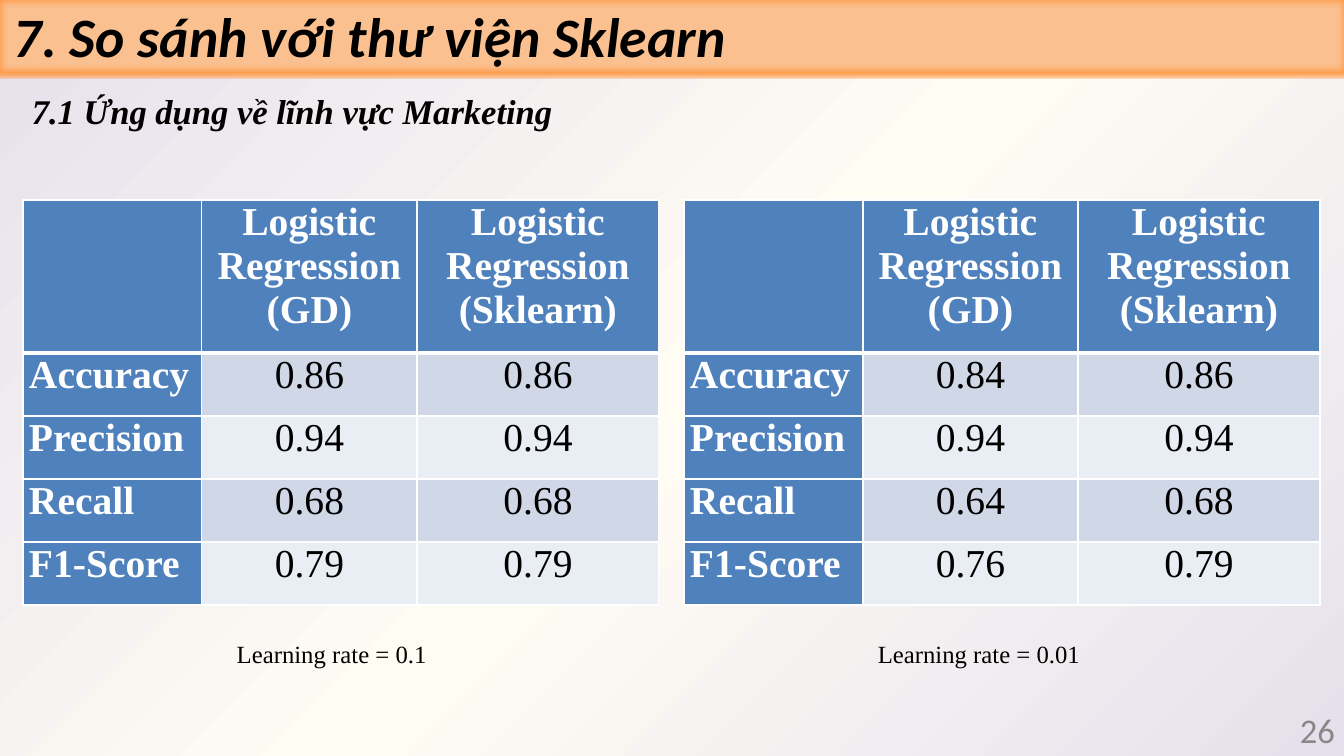
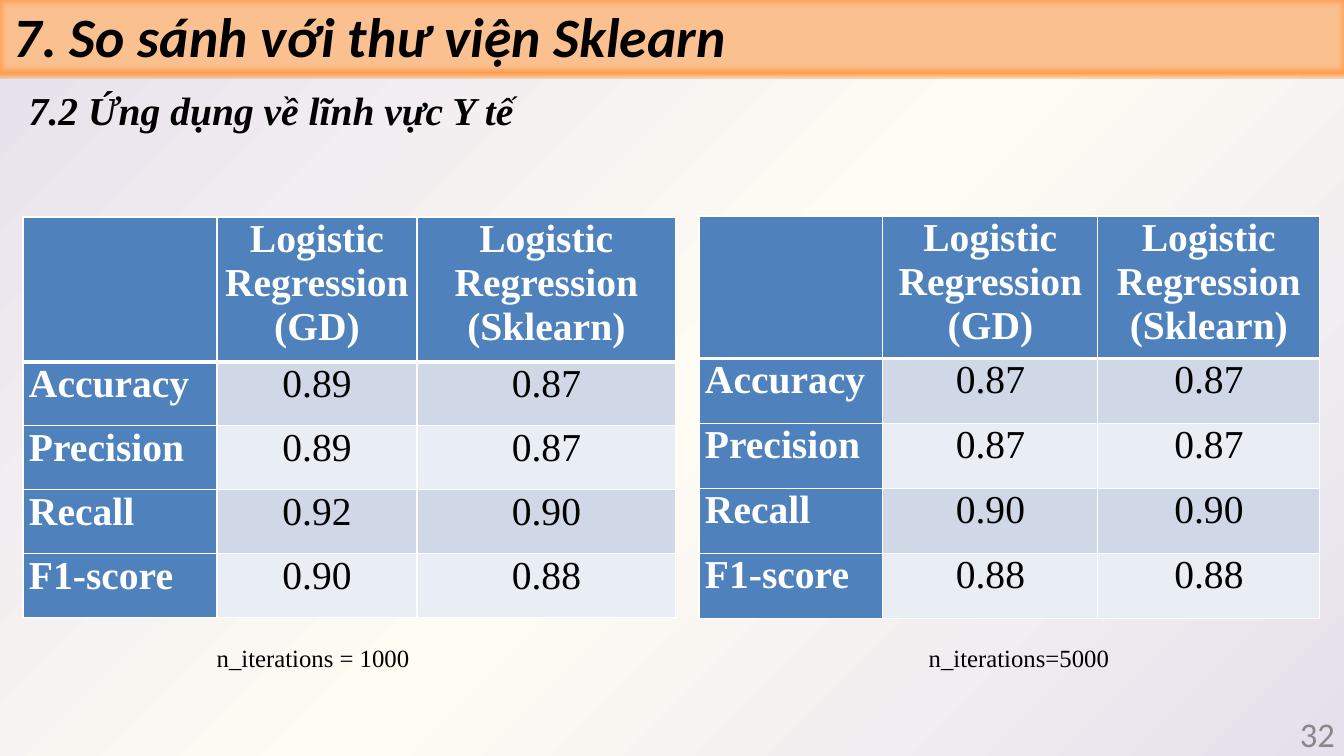
from pptx import Presentation
from pptx.dml.color import RGBColor
from pptx.enum.shapes import MSO_SHAPE as SHAPE
from pptx.enum.text import MSO_ANCHOR as ANCHOR, PP_ALIGN as ALIGN
from pptx.oxml import parse_xml
from pptx.oxml.ns import nsdecls, qn
from pptx.util import Inches, Pt

SERIF, SANS = "Times New Roman", "Calibri"
BLACK = RGBColor(0x00, 0x00, 0x00)
WHITE = RGBColor(0xFF, 0xFF, 0xFF)
GREY = RGBColor(0x88, 0x88, 0x88)
PEACH = RGBColor(0xFA, 0xC0, 0x90)
ORANGE = RGBColor(0xFF, 0x9C, 0x4A)
LAVENDER = RGBColor(0xE6, 0xE0, 0xEC)
CREAM = RGBColor(0xFF, 0xFC, 0xF4)
BLUE = RGBColor(0x4F, 0x81, 0xBD)
STRIPES = RGBColor(0xD0, 0xD8, 0xE8), RGBColor(0xE9, 0xED, 0xF4)

WIDTH, HEIGHT = 1344, 756
TITLE = "7. So sánh với thư viện Sklearn"
HEADERS = ["", "Logistic Regression (GD)", "Logistic Regression (Sklearn)"]


def px(n):
    """Turn whole pixels into EMU, on a slide 8.5 inches high."""
    return Inches(n * 8.5 / HEIGHT)


def set_background(master):
    """Give the master the cream and lavender gradient."""
    fill = master.background.fill
    fill.gradient()
    old = next(master.element.iter(qn("a:gradFill")))
    stops = "".join(
        f'<a:gs pos="{pos}"><a:srgbClr val="{color}"/></a:gs>'
        for pos, color in ((0, LAVENDER), (48000, CREAM), (100000, LAVENDER)))
    new = parse_xml(
        f'<a:gradFill {nsdecls("a")} rotWithShape="1"><a:gsLst>{stops}</a:gsLst>'
        '<a:path path="circle"><a:fillToRect l="100000" t="100000"/></a:path>'
        '</a:gradFill>')
    old.getparent().replace(old, new)


def write(tf, text, size, color=BLACK, font=SERIF, bold=False, italic=False,
          align=ALIGN.LEFT):
    """Write one styled paragraph and return it."""
    p = tf.paragraphs[0]
    p.text = text
    p.alignment = align
    p.font.name, p.font.size = font, Pt(size)
    p.font.bold, p.font.italic = bold, italic
    p.font.color.rgb = color
    return p


def set_margins(box, left, top, right, bottom):
    """Set the four inner margins of a text frame or a cell."""
    box.margin_left, box.margin_top = px(left), px(top)
    box.margin_right, box.margin_bottom = px(right), px(bottom)


def add_text(s, x, y, w, h, text, size, **style):
    """Add a wrapping text box and return its frame and paragraph."""
    tf = s.shapes.add_textbox(px(x), px(y), px(w), px(h)).text_frame
    tf.word_wrap = True
    return tf, write(tf, text, size, **style)


def add_title_band(s):
    """Add the glowing band that holds the title."""
    sp = s.shapes.add_shape(SHAPE.RECTANGLE, 0, 0, px(WIDTH), px(71))
    sp.fill.solid()
    sp.fill.fore_color.rgb = PEACH
    sp.line.fill.background()
    sp.shadow.inherit = False
    effects = sp.element.spPr.find(qn("a:effectLst"))
    effects.append(parse_xml(
        f'<a:glow {nsdecls("a")} rad="38100"><a:srgbClr val="{ORANGE}"/></a:glow>'))
    effects.append(parse_xml(f'<a:softEdge {nsdecls("a")} rad="31750"/>'))
    tf = sp.text_frame
    tf.vertical_anchor = ANCHOR.TOP
    set_margins(tf, 14, 2, 0, 0)
    p = write(tf, TITLE, 45, font=SANS, bold=True, italic=True)
    p.space_before = Pt(1.4)
    p.runs[0]._r.get_or_add_rPr().set("spc", "10")


def add_page_number(s, y, number):
    """Add the page number at the lower right."""
    tf, p = add_text(s, 1296, y, 46, 22, str(number), 28, color=GREY, font=SANS)
    set_margins(tf, 4, 0, 0, 0)
    p.line_spacing = Pt(13.8)


def set_borders(cell, top, bottom):
    """Draw white cell borders, with top and bottom widths in points."""
    tcPr = cell._tc.get_or_add_tcPr()
    for i, (side, width) in enumerate(
            (("L", 1), ("R", 1), ("T", top), ("B", bottom))):
        tcPr.insert(i, parse_xml(
            f'<a:ln{side} {nsdecls("a")} w="{Pt(width)}"><a:solidFill>'
            f'<a:srgbClr val="{WHITE}"/></a:solidFill></a:ln{side}>'))


def add_scores(s, x, y, widths, header_height, row_height, rows):
    """Add a score table with a blue header row and first column."""
    data = [HEADERS, *rows]
    heights = [header_height] + [row_height] * len(rows)
    table = s.shapes.add_table(len(data), len(widths), px(x), px(y),
                               px(sum(widths)), px(sum(heights))).table
    for col, width in zip(table.columns, widths):
        col.width = px(width)
    for r, (row, height) in enumerate(zip(data, heights)):
        table.rows[r].height = px(height)
        for c, text in enumerate(row):
            cell = table.cell(r, c)
            head = r == 0 or c == 0
            set_margins(cell, 6, 0, 6, 0)
            cell.fill.solid()
            cell.fill.fore_color.rgb = BLUE if head else STRIPES[(r - 1) % 2]
            set_borders(cell, 3 if r == 1 else 1, 3 if r == 0 else 1)
            write(cell.text_frame, text, 32, WHITE if head else BLACK, bold=head,
                  align=ALIGN.CENTER if c else ALIGN.JUSTIFY)


def add_slide(prs, number, number_y):
    """Add a slide with the shared title band and page number."""
    s = prs.slides.add_slide(prs.slide_layouts[6])
    add_page_number(s, number_y, number)
    add_title_band(s)
    return s


def add_marketing(prs):
    """Add the marketing comparison."""
    s = add_slide(prs, 26, 733)
    add_text(s, 23, 86, 1252, 51, "7.1 Ứng dụng về lĩnh vực Marketing", 28,
             bold=True, italic=True)
    widths = [179, 215, 242]
    add_scores(s, 684, 200, widths, 153, 63, [
        ("Accuracy", "0.84", "0.86"), ("Precision", "0.94", "0.94"),
        ("Recall", "0.64", "0.68"), ("F1-Score", "0.76", "0.79")])
    add_scores(s, 23, 200, widths, 153, 63, [
        ("Accuracy", "0.86", "0.86"), ("Precision", "0.94", "0.94"),
        ("Recall", "0.68", "0.68"), ("F1-Score", "0.79", "0.79")])
    add_text(s, 228, 634, 267, 39, "Learning rate = 0.1", 20)
    add_text(s, 869, 634, 267, 39, "Learning rate = 0.01", 20)


def add_health(prs):
    """Add the health care comparison."""
    s = add_slide(prs, 32, 737)
    add_text(s, 20, 82, 1252, 57, "7.2 Ứng dụng về lĩnh vực Y tế", 32,
             bold=True, italic=True)
    add_scores(s, 699, 216, [184, 215, 222], 141, 65, [
        ("Accuracy", "0.87", "0.87"), ("Precision", "0.87", "0.87"),
        ("Recall", "0.90", "0.90"), ("F1-score", "0.88", "0.88")])
    add_scores(s, 23, 217, [194, 200, 259], 145, 64, [
        ("Accuracy", "0.89", "0.87"), ("Precision", "0.89", "0.87"),
        ("Recall", "0.92", "0.90"), ("F1-score", "0.90", "0.88")])
    add_text(s, 208, 638, 333, 39, "n_iterations = 1000", 20)
    add_text(s, 920, 638, 420, 39, "n_iterations=5000", 20)


def main():
    """Build and save the presentation."""
    prs = Presentation()
    prs.slide_width, prs.slide_height = px(WIDTH), px(HEIGHT)
    set_background(prs.slide_master)
    add_marketing(prs)
    add_health(prs)
    prs.save("out.pptx")


if __name__ == "__main__":
    main()
